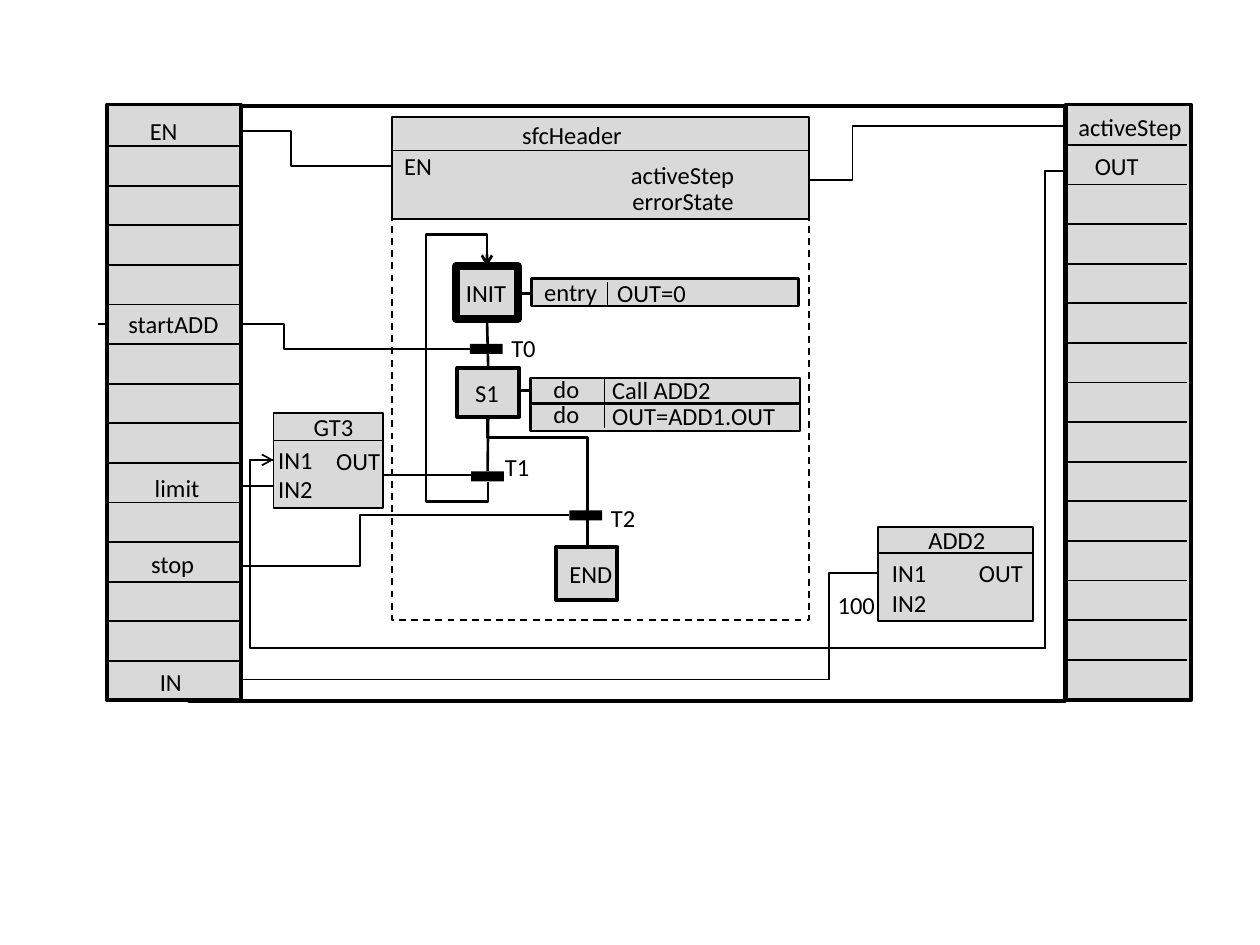
from lxml import etree
from pptx import Presentation, util as u
from pptx.dml.color import RGBColor
from pptx.enum import dml, shapes, text
from pptx.oxml.ns import qn

COLORS = {"ink": "000000", "block": "D9D9D9"}
INK, BLOCK = (RGBColor.from_string(COLORS[name]) for name in ("ink", "block"))

deck = Presentation()
deck.slide_width, deck.slide_height = u.Inches(10), u.Inches(7.5)
slide = deck.slides.add_slide(deck.slide_layouts[6])
CELL = deck.slide_width / 100  # the slide is a grid of 100 columns by 75 rows


def wire(left, top, width, height, weight, turns=(), rotation=0, flips="", arrow=None):
    """Draw a line in its unrotated box; turns are the elbow positions as shares of it."""
    kind = shapes.MSO_CONNECTOR.ELBOW if turns else shapes.MSO_CONNECTOR.STRAIGHT
    ends = (left, top, left + width, top + height)
    connector = slide.shapes.add_connector(kind, *(round(end * CELL) for end in ends))
    connector.line.color.rgb = INK
    connector.line.width = u.Pt(weight)
    properties = connector.element.spPr
    etree.SubElement(properties, qn("a:effectLst"))
    frame = properties.find(qn("a:xfrm"))
    if rotation:
        frame.set("rot", str(rotation * 60000))
    for axis in flips:
        frame.set("flip" + axis, "1")
    if turns:
        geometry = properties.find(qn("a:prstGeom"))
        geometry.set("prst", f"bentConnector{len(turns) + 2}")
        guides = geometry.get_or_add_avLst()
        for number, share in enumerate(turns, 1):
            etree.SubElement(guides, qn("a:gd"), name=f"adj{number}",
                             fmla=f"val {round(share * 100000)}")
    if arrow:
        etree.SubElement(properties.find(qn("a:ln")), qn(f"a:{arrow}End"), type="arrow")
    return connector


# Wires that run behind the blocks
for back_wire in [
    (36.8, 22.3, 9.7, 56.1, 1, (0.13, 0.93), 90, "HV"),  # IN to ADD2
    (20, 36.5, 17.5, 1.2, 1, (0.5,)),                    # GT3 to T1
    (27, 27.7, 5, 31.4, 1, (0.2, 0.47), 90, "HV"),       # stop to T2
    (7.8, 25.7, 29.5, 2, 1, (0.5,)),                     # startADD to T0
    (15.1, 10.4, 16, 2.8, 1, (0.5,)),                    # EN to sfcHeader
    (40.7, 31, 5.1, 0, 2),                               # S1 to its actions
    (18.8, 38.6, 8.4, 0.5, 1, (0.5,)),                   # limit to GT3
    (50.7, 10, 33.9, 4.3, 1, (0.5,), 0, "V"),            # sfcHeader to activeStep
    (41, 23.3, 5.1, 0, 2),                               # INIT to its action
    (65, 31.9, 37.4, 1.5, 1, (1.01,), 90, "HV"),         # feedback to OUT
]:
    wire(*back_wire)

# Blocks: left, top, width, height, fill, line weight
blocks = {
    "sfcHeader": (31.1, 9.3, 33.1, 8.1, BLOCK, 1),
    "outputs": (84.6, 8.3, 9.9, 47.3, BLOCK, 2.25),
    "frame": (15, 8.4, 69.5, 47.2, None, 2.25),
    "S1": (36.3, 29.2, 4.9, 3.9, BLOCK, 2.25),
    "entry": (42.2, 22.1, 21.2, 2.2, BLOCK, 1.5),
    "INIT": (36.2, 21.1, 4.9, 4.2, BLOCK, 4.5),
    "END": (44.1, 43.4, 4.9, 4.2, BLOCK, 2.25),
    "chart area": (31.1, 17.4, 33.1, 31.8, None, 1),
    "T0": (37.3, 27.3, 2.6, 0.8, INK, 0),
    "T1": (37.4, 37.4, 2.6, 0.8, INK, 0),
    "T2": (45.2, 40.5, 2.6, 0.8, INK, 0),
    "do call": (42.1, 30, 21.4, 2, BLOCK, 1.5),
    "do set": (42.1, 32, 21.4, 2.2, BLOCK, 1.5),
    "inputs": (8.5, 8.3, 10.6, 47.3, BLOCK, 2.25),
    "ADD2": (69.7, 41.8, 12.3, 7.5, BLOCK, 1),
    "GT3": (21.7, 32.8, 8.7, 7.5, BLOCK, 1),
}
drawn = {}
for name, (*place, fill, weight) in blocks.items():
    block = slide.shapes.add_shape(shapes.MSO_SHAPE.RECTANGLE,
                                   *(round(length * CELL) for length in place))
    block.shadow.inherit = False
    if fill is None:
        block.fill.background()
    else:
        block.fill.solid()
        block.fill.fore_color.rgb = fill
    if weight:
        block.line.color.rgb = INK
        block.line.width = u.Pt(weight)
    else:
        block.line.fill.background()
    drawn[name] = block
drawn["chart area"].line.dash_style = dml.MSO_LINE.DASH

# Row dividers of the input and output columns
ROW_GAP = 44 / 14
for left, first_row, width in [(84.75, 11.5, 9.45), (8.65, 11.6, 10.65)]:
    for row in range(15):
        wire(left, first_row + row * ROW_GAP, width, 0, 1)

# Rules inside blocks
for rule in [
    (31.1, 11.95, 33.1, 0), (69.7, 43.9, 12.3, 0), (21.7, 34.95, 8.7, 0),
    (48.2, 22.4, 0, 2), (48, 30, 0, 2), (48, 32, 0, 2),
]:
    wire(*rule, 0.75)

# Step sequence and feedback in front of the blocks
wire(21.7, 36.5, 61.3, 14.9, 1, (-0.03,), arrow="head")         # OUT to GT3
wire(37.5, 34.3, 10.3, 7.9, 1.5, (0.16,), 270, "H")             # S1 to END
wire(30.15, 29.65, 17.1, 0.1, 1.5, (-0.09, 50, 1.15), 90, "H", "tail")  # T1 to INIT
for upper, lower in [("INIT", "S1"), ("S1", "T1")]:
    link = wire(38.7, 25.3, 0, 3.9, 1.5)
    link.begin_connect(drawn[upper], 2)
    link.end_connect(drawn[lower], 0)

# Labels: words, left, top, width, alignment (only aligned labels wrap)
LEFT, CENTER = text.PP_ALIGN.LEFT, text.PP_ALIGN.CENTER
for words, left, top, width, align in [
    ("EN", 10.9, 9.2, 4.2, None),
    ("startADD", 9.2, 24.5, 9.3, None),
    ("limit", 11.3, 37.5, 5.6, None),
    ("stop", 11, 43.6, 5.5, None),
    ("IN", 11.7, 52.9, 3.8, None),
    ("activeStep", 84.6, 8.9, 10.3, None),
    ("OUT", 85.9, 12, 5.5, None),
    ("sfcHeader", 35.8, 9.5, 19.2, CENTER),
    ("EN", 31.1, 12, 4.2, None),
    ("activeStep", 49.1, 12.7, 10.3, None),
    ("errorState", 49.2, 14.8, 10.1, None),
    ("INIT", 36, 22.1, 6.7, None),
    ("entry", 42.2, 22, 6.9, LEFT),
    ("OUT=0", 48, 22.1, 10.5, LEFT),
    ("T0", 39.6, 26.4, 4, None),
    ("S1", 35, 30, 7.3, CENTER),
    ("do", 41.6, 29.7, 6.7, CENTER),
    ("Call ADD2", 47.6, 29.8, 11.7, LEFT),
    ("do", 41.6, 31.7, 6.7, CENTER),
    ("OUT=ADD1.OUT", 47.6, 31.8, 17.4, LEFT),
    ("T1", 39.1, 35.9, 4, None),
    ("T2", 47.5, 39.9, 4, None),
    ("END", 44.2, 44.4, 5.5, None),
    ("GT3", 23.9, 32.7, 5.2, None),
    ("IN1\nIN2", 21.1, 35.3, 4.8, None),
    ("OUT", 25.7, 35.4, 5.5, None),
    ("ADD2", 72.7, 41.7, 6.6, None),
    ("IN1\nIN2", 69.8, 44.3, 4.8, None),
    ("OUT", 76.7, 44.3, 5.5, None),
    ("100", 65.5, 46.8, 5, None),
]:
    lines = words.split("\n")
    place = (left, top, width, 2.35 * len(lines))
    label = slide.shapes.add_textbox(*(round(length * CELL) for length in place)).text_frame
    label.margin_top = label.margin_bottom = 0
    label.word_wrap = align is not None
    label.auto_size = text.MSO_AUTO_SIZE.SHAPE_TO_FIT_TEXT
    for number, line in enumerate(lines):
        paragraph = label.add_paragraph() if number else label.paragraphs[0]
        paragraph.alignment = align
        run = paragraph.add_run()
        run.text = line
        run.font.name, run.font.size = "Calibri", u.Pt(14)
        run.font.color.rgb = INK

deck.save("out.pptx")
